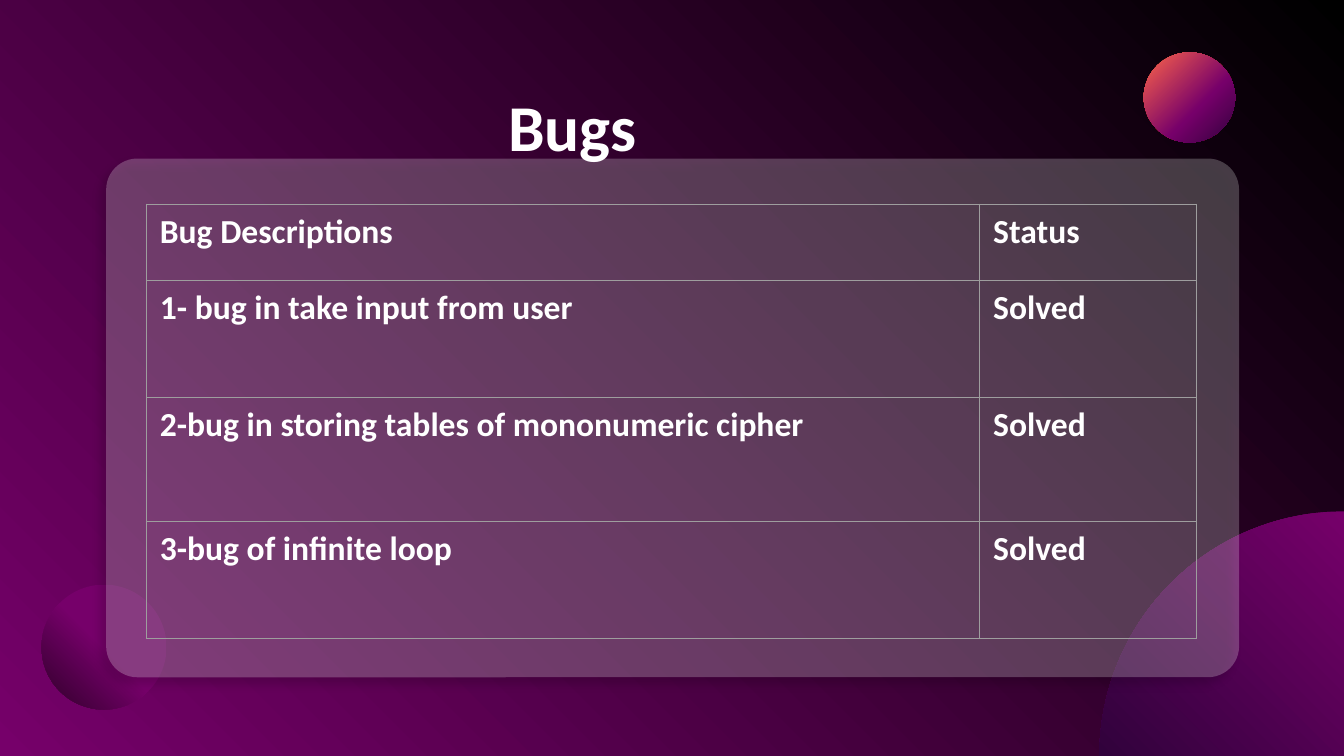
from math import cos, pi, sin

from lxml.etree import SubElement
from pptx import Presentation
from pptx.dml.color import RGBColor
from pptx.enum.shapes import MSO_SHAPE as Preset
from pptx.enum.text import MSO_ANCHOR as Anchor, PP_ALIGN as Align
from pptx.oxml import parse_xml
from pptx.oxml.ns import nsdecls, qn
from pptx.util import Inches, Pt

THEME = {
    "font": "Calibri",
    "title": 35,
    "body": 18,
    "white": "FFFFFF",
    "black": "000000",
    "purple": "76006A",
    "plum": "2E0029",
    "violet": "31023C",
    "orange": "FF6649",
    "rule": "9E9E9E",
}


def write(frame, text, size=THEME["body"], color=THEME["white"], bold=True,
          align=Align.LEFT, anchor=Anchor.TOP):
    frame.word_wrap = True
    frame.vertical_anchor = anchor
    paragraph = frame.paragraphs[0]
    paragraph.alignment = align
    run = paragraph.add_run()
    run.text = text
    run.font.name = THEME["font"]
    run.font.size = Pt(size)
    run.font.bold = bold
    run.font.color.rgb = RGBColor.from_string(color)


def shade(owner, fill, stops, angle):
    fill.gradient()
    fill.gradient_angle = angle
    stop_list = next(owner.element.iter(qn("a:gsLst")))
    for stop in list(stop_list):
        stop_list.remove(stop)
    for position, name in stops:
        stop = SubElement(stop_list, qn("a:gs"), pos=str(position * 1000))
        SubElement(stop, qn("a:srgbClr"), val=THEME[name])


deck = Presentation()
deck.slide_width = Inches(10)
deck.slide_height = deck.slide_width * 9 // 16
slide = deck.slides.add_slide(deck.slide_layouts[5])
shapes = slide.shapes
shade(slide, slide.background.fill, [(0, "purple"), (100, "black")], 45)

right, bottom, radius = deck.slide_width, deck.slide_height, Inches(1.82)
arc = [(round(right - radius * cos(step * pi / 120)), round(bottom - radius * sin(step * pi / 120)))
       for step in range(61)]
outline = shapes.build_freeform(right, bottom, scale=1.0)
outline.add_line_segments(arc, close=True)
corner = outline.convert_to_shape()

left_ball = shapes.add_shape(Preset.OVAL, Inches(0.31), Inches(4.35), Inches(0.93), Inches(0.93))
panel = shapes.add_shape(Preset.ROUNDED_RECTANGLE, Inches(0.79), Inches(1.18), Inches(8.43), Inches(3.86))
top_ball = shapes.add_shape(Preset.OVAL, Inches(8.51), Inches(0.39), Inches(0.68), Inches(0.67))

for ornament, stops, angle in [
    (corner, [(0, "purple"), (100, "violet")], 225),
    (left_ball, [(0, "purple"), (50, "purple"), (100, "plum")], 225),
    (top_ball, [(0, "orange"), (61, "purple"), (100, "violet")], 315),
]:
    ornament.shadow.inherit = False
    ornament.line.fill.background()
    shade(ornament, ornament.fill, stops, angle)

panel.adjustments[0] = 0.06
panel.line.fill.background()
panel.fill.solid()
panel.fill.fore_color.rgb = RGBColor.from_string(THEME["white"])
panel_color = next(panel.element.iter(qn("a:srgbClr")))
SubElement(panel_color, qn("a:alpha"), val="23000")
panel.element.spPr.append(parse_xml(
    f'<a:effectLst {nsdecls("a")}><a:outerShdw blurRad="{Pt(4.5)}" dist="{Pt(4.5)}" '
    f'dir="{126 * 60000}" rotWithShape="0"><a:srgbClr val="{THEME["black"]}">'
    '<a:alpha val="65000"/></a:srgbClr></a:outerShdw></a:effectLst>'))

title = shapes.title
title.left, title.top, title.width, title.height = [Inches(n) for n in (1.7, 0.59, 6.11, 0.93)]
title.text_frame.margin_left = Inches(2.08)
write(title.text_frame, "Bugs", size=THEME["title"])
top_ball.element.addnext(title.element)

bugs = [
    ("Bug Descriptions", "Status"),
    ("1- bug in take input from user", "Solved"),
    ("2-bug in storing tables of mononumeric cipher", "Solved"),
    ("3-bug of infinite loop", "Solved"),
]
bug_frame = shapes.add_table(len(bugs), 2, Inches(1.09), Inches(1.52), Inches(7.81), Inches(3.23))
bug_table = bug_frame.table
bug_table.horz_banding = False
for column, width in zip(bug_table.columns, (6.2, 1.61)):
    column.width = Inches(width)
for row, height, entries in zip(bug_table.rows, (0.57, 0.87, 0.92, 0.87), bugs):
    row.height = Inches(height)
    for cell, entry in zip(row.cells, entries):
        write(cell.text_frame, entry)
        cell.fill.background()
for properties in bug_frame.element.iter(qn("a:tcPr")):
    for index, side in enumerate(("lnL", "lnR", "lnT", "lnB")):
        properties.insert(index, parse_xml(
            f'<a:{side} {nsdecls("a")} w="{Pt(0.75)}"><a:solidFill>'
            f'<a:srgbClr val="{THEME["rule"]}"/></a:solidFill></a:{side}>'))

deck.save("out.pptx")
